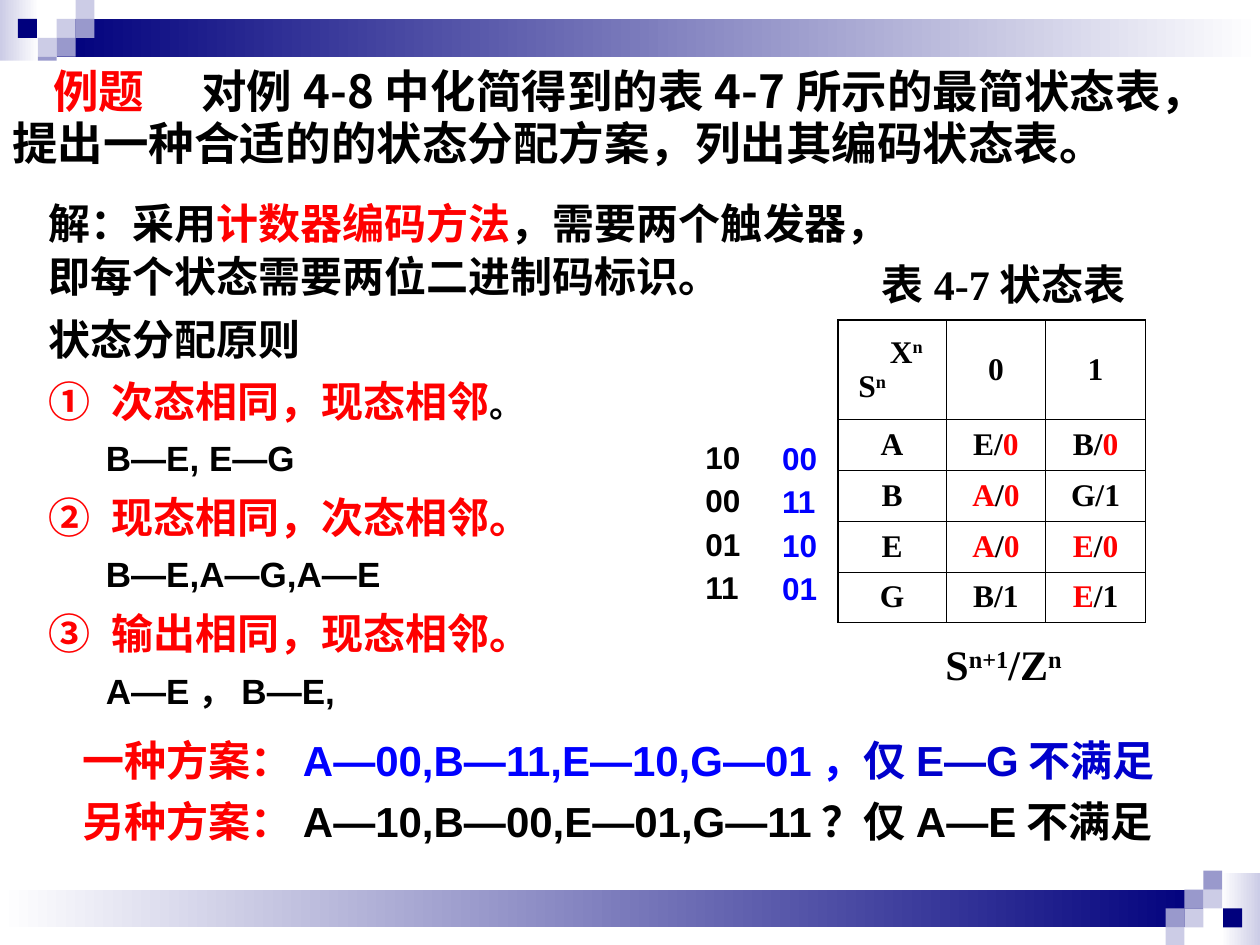
"""Build the state-assignment example slide with its reduced state table."""
from dataclasses import dataclass
from typing import Optional

from lxml import etree
from pptx import Presentation
from pptx.dml.color import RGBColor
from pptx.enum.shapes import MSO_SHAPE
from pptx.enum.text import MSO_ANCHOR, MSO_AUTO_SIZE, PP_ALIGN
from pptx.oxml.ns import qn
from pptx.util import Pt

RECTANGLE = MSO_SHAPE.RECTANGLE
TOP, MIDDLE = MSO_ANCHOR.TOP, MSO_ANCHOR.MIDDLE
FIXED, GROW = MSO_AUTO_SIZE.NONE, MSO_AUTO_SIZE.SHAPE_TO_FIT_TEXT
LEFT, CENTER = PP_ALIGN.LEFT, PP_ALIGN.CENTER


@dataclass(frozen=True)
class Theme:
    black: str = "000000"
    white: str = "FFFFFF"
    red: str = "FF0000"
    blue: str = "0000FF"
    deep_blue: str = "0000CC"
    navy: str = "00007D"
    pale: str = "CCCCE6"
    lilac: str = "9999CC"
    sans: str = "Arial"
    serif: str = "Times New Roman"
    cjk: str = "Noto Sans CJK SC"
    title: float = 26
    body: float = 24
    example: float = 20
    small: float = 18
    outer_line: float = 0.96
    inner_line: float = 0.45


THEME = Theme()


@dataclass(frozen=True)
class Span:
    text: str
    color: str = THEME.black
    size: Optional[float] = None
    raised: bool = False


@dataclass(frozen=True)
class Line:
    spans: tuple[Span, ...]
    before: float = 0
    margin: float = 0
    indent: float = 0
    tab: float = 0


@dataclass(frozen=True)
class Style:
    font: str
    size: float
    spacing: float = 1.0
    align: PP_ALIGN = LEFT


@dataclass(frozen=True)
class Box:
    left: float
    top: float
    width: float
    height: float


@dataclass(frozen=True)
class Ornament:
    box: Box
    color: str
    fades: bool = False


WIDTH, HEIGHT, MIRROR_HEIGHT = 720, 540, 540.7
TILE = 10.8
TILES = (
    (3, 1, THEME.pale), (4, 0, THEME.pale), (4, 1, THEME.lilac), (2, 2, THEME.pale),
    (0.95, 1, THEME.navy), (3, 2, THEME.lilac), (2, 3, THEME.lilac),
)
ORNAMENTS = (
    Ornament(Box(0, 0, 22.3, 41.8), THEME.pale, True),
    Ornament(Box(3 * TILE, TILE, WIDTH - 3 * TILE, 2 * TILE), THEME.navy, True),
    *(Ornament(Box(col * TILE, row * TILE, TILE, TILE), color) for col, row, color in TILES),
)


def plain(text: str) -> Line:
    return Line((Span(text),))


def rule(number: str, text: str, before: float, *ending: Span) -> Line:
    return Line((Span(f"{number}\t{text}", THEME.red), *ending), before, tab=34.8)


def pairs(text: str) -> Line:
    return Line((Span(text, size=THEME.example),), 5, margin=32.5)


def entry(state: str, output: str, reds: str = "") -> Line:
    return Line(tuple(Span(part, THEME.red if part in reds else THEME.black)
                      for part in (state, "/", output)))


QUESTION = (Line((
    Span("例题\t", THEME.red),
    Span("对例4-8中化简得到的表4-7所示的最简状态表，提出一种合适的的状态分配方案，列出其编码状态表。"),
), indent=23.3, tab=87),)
SOLUTION = (
    Line((Span("解：采用"), Span("计数器编码方法", THEME.red),
          Span("，需要两个触发器，即每个状态需要两位二进制码标识。"))),
    Line((Span("状态分配原则"),), 6),
    rule("①", "次态相同，现态相邻", 5, Span("。", size=THEME.example)),
    pairs("B—E, E—G"),
    rule("②", "现态相同，次态相邻。", 6),
    pairs("B—E,A—G,A—E"),
    rule("③", "输出相同，现态相邻。", 6),
    pairs("A—E，B—E,"),
)
SCHEMES = (
    Line((Span("一种方案：", THEME.red), Span("A—00,B—11,E—10,G—01，", THEME.blue),
          Span("仅E—G不满足", THEME.deep_blue))),
    Line((Span("另种方案：", THEME.red), Span("A—10,B—00,E—01,G—11？仅A—E不满足")), 6),
)
TABLE_KEY = (Line((Span("S"), Span("n+1", raised=True), Span("/Z"), Span("n", raised=True))),)
CORNER = (
    Line((Span("X"), Span("n", raised=True)), margin=22.5),
    Line((Span("S"), Span("n", raised=True)), margin=4.5),
)
STATE_ROWS = (
    (plain("0"), plain("1")),
    (plain("A"), entry("E", "0", "0"), entry("B", "0", "0")),
    (plain("B"), entry("A", "0", "A0"), entry("G", "1")),
    (plain("E"), entry("A", "0", "A0"), entry("E", "0", "E0")),
    (plain("G"), entry("B", "1"), entry("E", "1", "E")),
)
CODE_COLUMNS = (
    (Box(439.9, 244.1, 40.3, 106.6), THEME.blue, ("00", "11", "10", "01")),
    (Box(396, 243.4, 40.3, 106.6), THEME.black, ("10", "00", "01", "11")),
)


def place(box: Box) -> tuple[Pt, Pt, Pt, Pt]:
    return Pt(box.left), Pt(box.top), Pt(box.width), Pt(box.height)


def draw_ornament(slide, ornament: Ornament, mirrored: bool) -> None:
    box = ornament.box
    if mirrored:
        box = Box(WIDTH - box.left - box.width, MIRROR_HEIGHT - box.top - box.height,
                  box.width, box.height)
    shape = slide.shapes.add_shape(RECTANGLE, *place(box))
    shape.shadow.inherit = False
    shape.line.fill.background()
    shape.rotation = 180 if mirrored else 0
    if ornament.fades:
        shape.fill.gradient()
        shape.fill.gradient_angle = 0
        for stop, color in zip(shape.fill.gradient_stops, (ornament.color, THEME.white)):
            stop.color.rgb = RGBColor.from_string(color)
    else:
        shape.fill.solid()
        shape.fill.fore_color.rgb = RGBColor.from_string(ornament.color)


def write_lines(frame, lines: tuple[Line, ...], style: Style) -> None:
    for index, line in enumerate(lines):
        paragraph = frame.add_paragraph() if index else frame.paragraphs[0]
        paragraph.alignment = style.align
        paragraph.line_spacing = style.spacing
        paragraph.space_before = Pt(line.before)
        properties = paragraph._p.get_or_add_pPr()
        properties.set("marL", str(Pt(line.margin)))
        properties.set("indent", str(Pt(line.indent)))
        if line.tab:
            stops = etree.SubElement(properties, qn("a:tabLst"))
            etree.SubElement(stops, qn("a:tab"), pos=str(Pt(line.tab)), algn="l")
        for span in line.spans:
            run = paragraph.add_run()
            run.text = span.text
            run.font.name = style.font
            run.font.size = Pt(span.size or style.size)
            run.font.bold = True
            run.font.color.rgb = RGBColor.from_string(span.color)
            run_properties = run._r.get_or_add_rPr()
            etree.SubElement(run_properties, qn("a:ea"), typeface=THEME.cjk)
            if span.raised:
                run_properties.set("baseline", "30000")


def draw_text(slide, box: Box, lines: tuple[Line, ...], style: Style, wrap: bool = True,
              anchor: MSO_ANCHOR = TOP, backed: bool = False) -> None:
    textbox = slide.shapes.add_textbox(*place(box))
    if backed:
        textbox.fill.solid()
        textbox.fill.fore_color.rgb = RGBColor.from_string(THEME.white)
    frame = textbox.text_frame
    frame.word_wrap = wrap
    frame.auto_size = FIXED if backed else GROW
    frame.vertical_anchor = anchor
    write_lines(frame, lines, style)


def draw_borders(cell, outer_sides: dict[str, bool]) -> None:
    properties = cell._tc.get_or_add_tcPr()
    for index, (side, outer) in enumerate(outer_sides.items()):
        width = THEME.outer_line if outer else THEME.inner_line
        border = etree.Element(qn(f"a:ln{side}"), w=str(Pt(width)))
        fill = etree.SubElement(border, qn("a:solidFill"))
        etree.SubElement(fill, qn("a:srgbClr"), val=THEME.black)
        properties.insert(index, border)


def draw_state_table(slide, box: Box) -> None:
    widths, heights = (61.9, 56.9, 56.9), (56.9, 29, 29, 29, 29)
    table = slide.shapes.add_table(len(heights), len(widths), *place(box)).table
    table.first_row = table.horz_banding = False
    for column, width in zip(table.columns, widths):
        column.width = Pt(width)
    for r, height in enumerate(heights):
        table.rows[r].height = Pt(height)
        contents = [(line,) for line in STATE_ROWS[r]]
        for c, lines in enumerate(contents if r else [CORNER, *contents]):
            cell = table.cell(r, c)
            cell.vertical_anchor = MIDDLE
            cell.fill.background()
            align = LEFT if lines is CORNER else CENTER
            write_lines(cell.text_frame, lines, Style(THEME.serif, THEME.small, align=align))
            draw_borders(cell, {"L": c == 0, "R": c == len(widths) - 1,
                                "T": r == 0, "B": r == len(heights) - 1})


def main() -> None:
    deck = Presentation()
    deck.slide_width, deck.slide_height = Pt(WIDTH), Pt(HEIGHT)
    slide = deck.slides.add_slide(deck.slide_layouts[6])
    for mirrored in (False, True):
        for ornament in ORNAMENTS:
            draw_ornament(slide, ornament, mirrored)
    draw_text(slide, Box(0, 34.6, 699.1, 72.7), QUESTION,
              Style(THEME.cjk, THEME.title, 0.95), backed=True)
    draw_text(slide, Box(20.9, 108, 478.8, 306.7), SOLUTION,
              Style(THEME.sans, THEME.body, 1.05), backed=True)
    draw_text(slide, Box(496.8, 144, 154.1, 36), (plain("表4-7状态表"),),
              Style(THEME.serif, THEME.body), wrap=False, anchor=MIDDLE)
    draw_state_table(slide, Box(478.8, 182.9, 175.7, 172.9))
    draw_text(slide, Box(527, 361.4, 92.9, 36), TABLE_KEY,
              Style(THEME.serif, THEME.body, align=CENTER), wrap=False, anchor=MIDDLE)
    draw_text(slide, Box(40.3, 416.2, 640.8, 71.3), SCHEMES, Style(THEME.sans, THEME.body))
    for box, color, codes in CODE_COLUMNS:
        draw_text(slide, box, tuple(Line((Span(code, color),)) for code in codes),
                  Style(THEME.sans, THEME.small, 1.15))
    deck.save("out.pptx")


if __name__ == "__main__":
    main()
